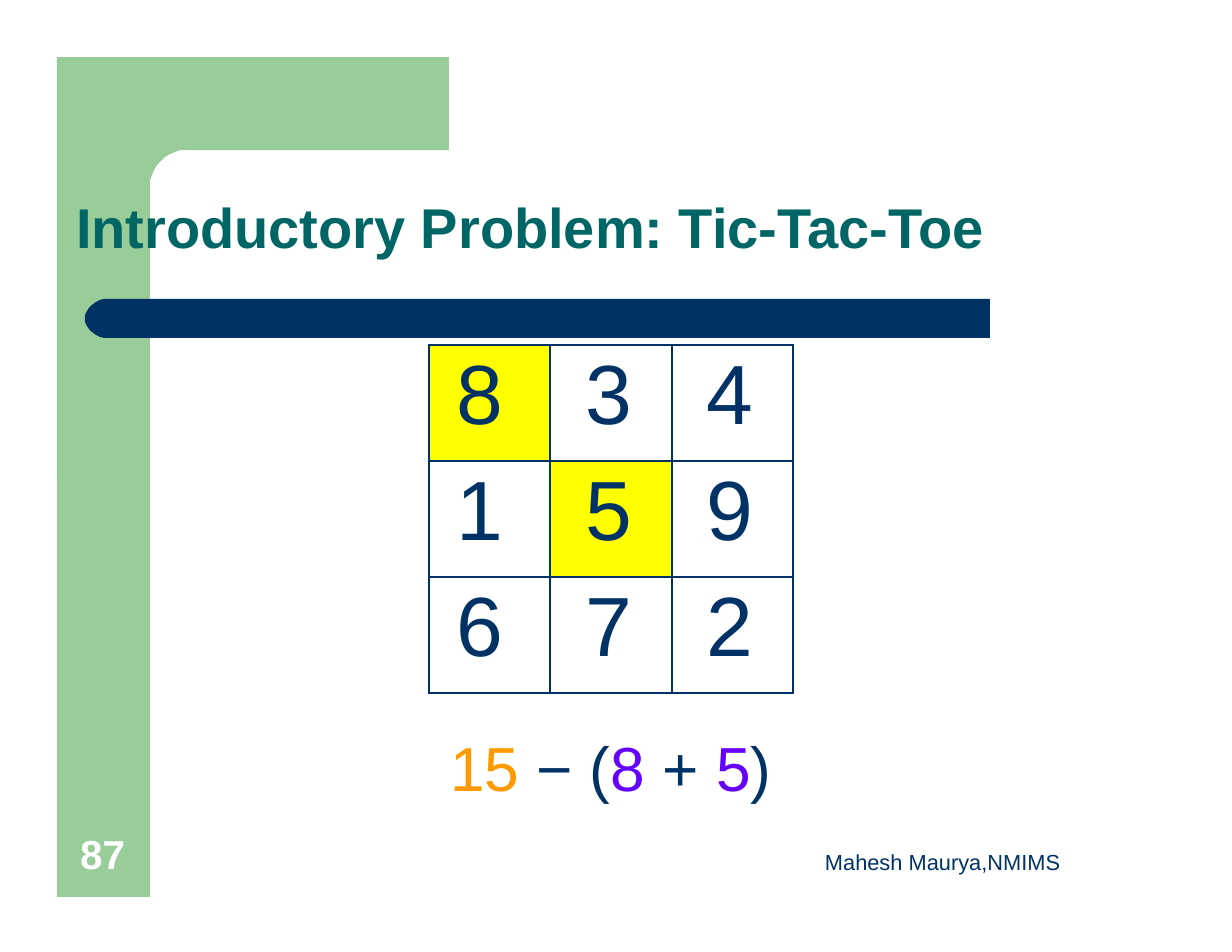
from math import cos, pi, sin

from lxml.etree import SubElement
from pptx import Presentation
from pptx.dml.color import RGBColor
from pptx.enum.text import MSO_AUTO_SIZE
from pptx.oxml.ns import qn
from pptx.util import Emu, Pt

PX = 914400 / 112
FONT = "Arial"
WHITE = RGBColor(0xFF, 0xFF, 0xFF)
GREEN = RGBColor(0x98, 0xCC, 0x98)
NAVY = RGBColor(0x00, 0x32, 0x65)
TEAL = RGBColor(0x00, 0x65, 0x65)
YELLOW = RGBColor(0xFF, 0xFF, 0x00)
ORANGE = RGBColor(0xFF, 0x99, 0x00)
VIOLET = RGBColor(0x65, 0x00, 0xFF)

SQUARE = [[8, 3, 4], [1, 5, 9], [6, 7, 2]]
CHOSEN = (8, 5)
EQUATION = [("15 ", ORANGE), ("− (", NAVY), ("8 ", VIOLET),
            ("+ ", NAVY), ("5", VIOLET), (")", NAVY)]


def px(length):
    """Turn pixels into EMU."""
    return Emu(round(length * PX))


def arc(center_x, center_y, radius_x, radius_y, start, end, steps=10):
    """List points along an elliptical arc between two angles in radians."""
    angles = [start + (end - start) * step / steps for step in range(steps + 1)]
    return [(round(center_x + radius_x * cos(angle)),
             round(center_y + radius_y * sin(angle))) for angle in angles]


def add_outline(slide, left, top, points, color):
    """Draw a filled polygon whose points are relative to left and top."""
    builder = slide.shapes.build_freeform(*points[0], scale=PX)
    builder.add_line_segments(points[1:], close=True)
    outline = builder.convert_to_shape(px(left), px(top))
    outline.shadow.inherit = False
    outline.fill.solid()
    outline.fill.fore_color.rgb = color
    outline.line.fill.background()


def add_corner(slide, left, top, width, height, band):
    """Draw the green corner band with its rounded inner edge."""
    radius = 36
    bend = arc(band + radius, band + radius, radius, radius, pi, 1.5 * pi)
    points = [(width, 0), (0, 0), (0, height), (band, height), *bend, (width, band)]
    add_outline(slide, left, top, points, GREEN)


def add_side(slide, left, top, width, height):
    """Draw the lower part of the green side band."""
    points = [(0, 0), (width, 0), (width, height), (0, height)]
    add_outline(slide, left, top, points, GREEN)


def add_rule(slide, left, top, width, height):
    """Draw the navy bar with a rounded left end."""
    cap = arc(24, height / 2, 24, height / 2, 1.5 * pi, 0.5 * pi, 16)
    add_outline(slide, left, top, [(width, 0), *cap, (width, height)], NAVY)


def add_line(slide, box, pieces, size, bold=False, inset=(0, 0)):
    """Write one line of coloured pieces, inset from the left and top of a box."""
    frame = slide.shapes.add_textbox(*map(px, box)).text_frame
    frame.word_wrap = True
    frame.auto_size = MSO_AUTO_SIZE.NONE
    frame.margin_left, frame.margin_top = map(px, inset)
    frame.margin_right = frame.margin_bottom = 0
    line = frame.paragraphs[0]
    line.font.name = FONT
    line.font.size = Pt(size)
    line.font.bold = bold
    for words, color in pieces:
        run = line.add_run()
        run.text = words
        run.font.color.rgb = color


def add_borders(cell, widths):
    """Give a cell navy borders, with widths in points by side."""
    properties = cell._tc.get_or_add_tcPr()
    for side, width in widths.items():
        border = SubElement(properties, qn(f"a:ln{side}"), w=str(Pt(width)))
        fill = SubElement(border, qn("a:solidFill"))
        SubElement(fill, qn("a:srgbClr"), val=str(NAVY))


def add_square(slide, left, top, width, height):
    """Build the magic square with the chosen numbers highlighted."""
    size = len(SQUARE)
    box = map(px, (left, top, width, height))
    board = slide.shapes.add_table(size, size, *box).table
    board.first_row = board.horz_banding = False
    for row, numbers in enumerate(SQUARE):
        for column, number in enumerate(numbers):
            cell = board.cell(row, column)
            add_borders(cell, {"L": 1.5, "R": 1.5, "T": 1 if row == 2 else 1.5,
                               "B": 1.5 if row == 0 else 1})
            if number in CHOSEN:
                cell.fill.solid()
                cell.fill.fore_color.rgb = YELLOW
            else:
                cell.fill.background()
            cell.margin_left = px(35 if column else 28)
            cell.margin_top = px(4)
            cell.margin_right = cell.margin_bottom = 0
            cell.text = str(number)
            digit = cell.text_frame.paragraphs[0]
            digit.font.name = FONT
            digit.font.size = Pt(54)
            digit.font.color.rgb = NAVY


def main():
    """Build and save the slide."""
    deck = Presentation()
    deck.slide_width, deck.slide_height = px(1232), px(952)
    slide = deck.slides.add_slide(deck.slide_layouts[6])
    add_corner(slide, 57, 57, 392, 420, 93)
    add_rule(slide, 85, 299, 905, 39)
    add_line(slide, (75, 187, 921, 71),
             [("Introductory Problem: Tic-Tac-Toe", TEAL)], 36, True, (1, 6))
    add_side(slide, 57, 477, 93, 420)
    add_square(slide, 429, 345, 364, 348)
    add_line(slide, (76, 829, 55, 48), [("87", WHITE)], 26, True, (4, 0))
    add_line(slide, (824, 848, 244, 28),
             [("Mahesh Maurya,NMIMS", NAVY)], 14, inset=(1, 1))
    add_line(slide, (449, 721, 328, 77), EQUATION, 40, inset=(1, 8))
    deck.save("out.pptx")


if __name__ == "__main__":
    main()
